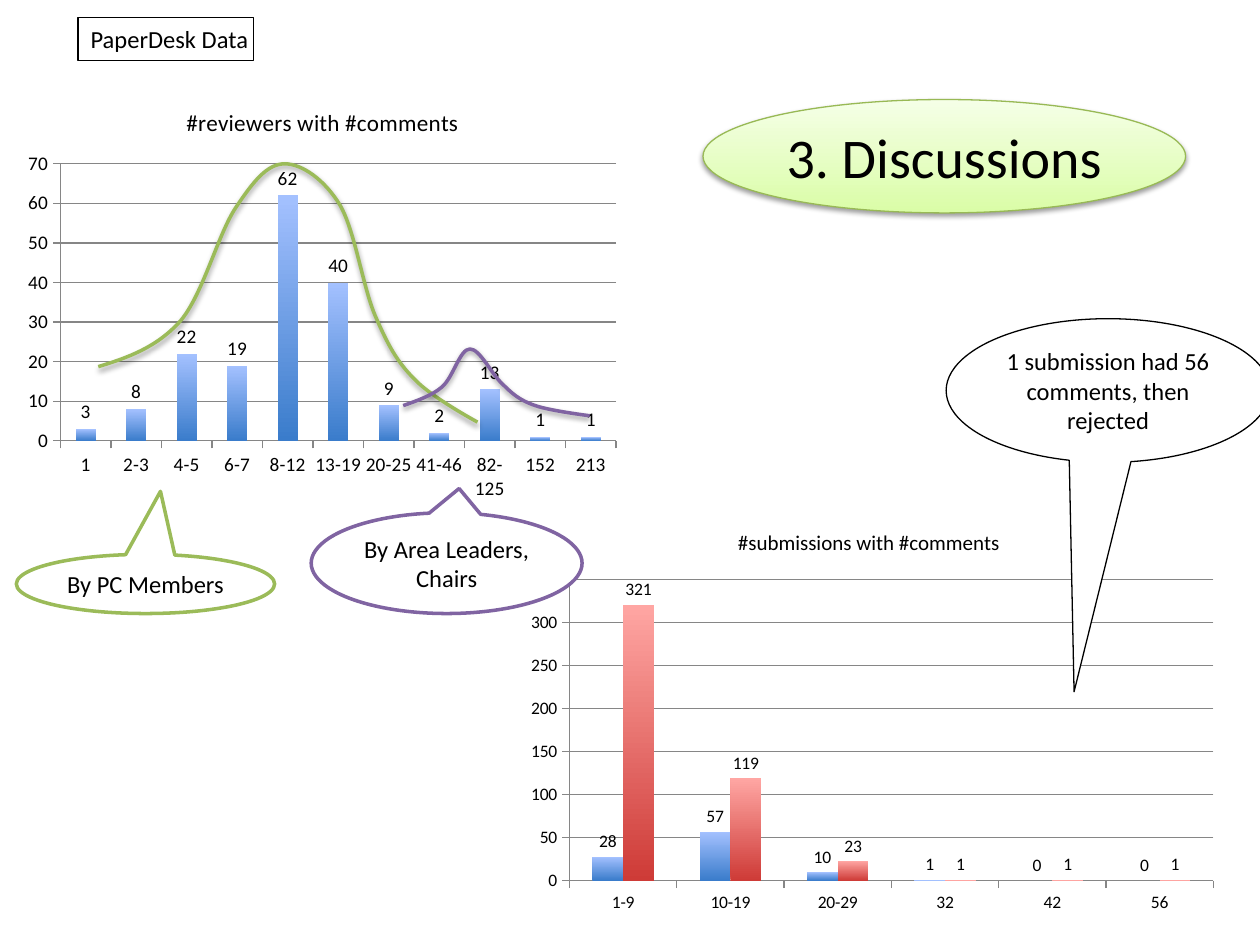
import pptx
import pptx.chart.data
import pptx.dml.color
import pptx.enum.chart
import pptx.enum.shapes
import pptx.enum.text
import pptx.oxml
import pptx.util
from lxml import etree

Inches = pptx.util.Inches
Pt = pptx.util.Pt
Shape = pptx.enum.shapes.MSO_SHAPE
Align = pptx.enum.text.PP_ALIGN
DRAWING = "http://schemas.openxmlformats.org/drawingml/2006/main"
CHART = "http://schemas.openxmlformats.org/drawingml/2006/chart"
BLACK, WHITE, GREEN, PURPLE, AXIS = "000000", "FFFFFF", "9BBB59", "8064A2", "868686"
BLUE_BARS = ("3A7CCB", "A4C1FF")
RED_BARS = ("CE3B37", "FFA6A3")


def rgb(color):
    return pptx.dml.color.RGBColor.from_string(color)


class DiscussionSlide:
    """Draws charts, shapes and curves on one slide in a shared style."""

    font_name = "Calibri"

    def __init__(self, slide):
        self.slide = slide

    def style_font(self, font, size):
        font.name, font.size, font.bold = self.font_name, Pt(size), False
        font.color.rgb = rgb(BLACK)

    def paint(self, fill, color):
        if color is None:
            fill.background()
        elif isinstance(color, str):
            fill.solid()
            fill.fore_color.rgb = rgb(color)
        else:
            fill.gradient()
            fill.gradient_angle = 90
            for stop, stop_color in zip(fill.gradient_stops, color):
                stop.color.rgb = rgb(stop_color)

    def outline(self, line, color, width=0.75):
        line.color.rgb = rgb(color)
        line.width = Pt(width)

    def add_shadow(self, shape):
        shape.shadow.inherit = False
        effects = shape._element.spPr.find(f"{{{DRAWING}}}effectLst")
        effects.append(pptx.oxml.parse_xml(
            f'<a:outerShdw xmlns:a="{DRAWING}" blurRad="{Pt(3.1)}" dist="{Pt(1.6)}" '
            'dir="5400000" rotWithShape="0"><a:srgbClr val="000000">'
            '<a:alpha val="38000"/></a:srgbClr></a:outerShdw>'))

    def shape(self, kind, box, text, size=14, fill=WHITE, line=BLACK, width=0.75,
              align=Align.CENTER, tip=()):
        shape = self.slide.shapes.add_shape(kind, *map(Inches, box))
        shape.shadow.inherit = False
        self.paint(shape.fill, fill)
        self.outline(shape.line, line, width)
        for index, value in enumerate(tip):
            shape.adjustments[index] = value
        frame = shape.text_frame
        frame.word_wrap = False
        frame.vertical_anchor = pptx.enum.text.MSO_ANCHOR.MIDDLE
        paragraph = frame.paragraphs[0]
        paragraph.text = text
        paragraph.alignment = align
        self.style_font(paragraph.font, size)
        return shape

    def curve(self, points, color):
        points = [(Inches(x), Inches(y)) for x, y in points]
        builder = self.slide.shapes.build_freeform(*points[0])
        builder.add_line_segments(points[1:], close=False)
        shape = builder.convert_to_shape()
        segments = list(shape._element.iter(f"{{{DRAWING}}}lnTo"))
        for start in range(0, len(segments), 3):
            bezier = etree.Element(f"{{{DRAWING}}}cubicBezTo")
            segments[start].addprevious(bezier)
            for segment in segments[start:start + 3]:
                bezier.append(segment[0])
                segment.getparent().remove(segment)
        self.paint(shape.fill, None)
        self.outline(shape.line, color, 2)
        self.add_shadow(shape)
        return shape

    def group(self, *shapes):
        self.slide.shapes.add_group_shape(shapes)

    def place_plot(self, chart, box, plot_box):
        plot_area = chart._chartSpace.chart.plotArea
        for layout in plot_area.findall(f"{{{CHART}}}layout"):
            plot_area.remove(layout)
        left, top, width, height = box
        fractions = {"x": (plot_box[0] - left) / width, "y": (plot_box[1] - top) / height,
                     "w": plot_box[2] / width, "h": plot_box[3] / height}
        values = "".join(f'<c:{key} val="{value:.4f}"/>' for key, value in fractions.items())
        plot_area.insert(0, pptx.oxml.parse_xml(
            f'<c:layout xmlns:c="{CHART}"><c:manualLayout><c:layoutTarget val="inner"/>'
            f'<c:xMode val="edge"/><c:yMode val="edge"/>{values}</c:manualLayout></c:layout>'))

    def column_chart(self, box, plot_box, title, size, categories, series, maximum, step):
        data = pptx.chart.data.CategoryChartData()
        data.categories = categories
        for index, (values, _) in enumerate(series, 1):
            data.add_series(f"Series {index}", values)
        chart = self.slide.shapes.add_chart(
            pptx.enum.chart.XL_CHART_TYPE.COLUMN_CLUSTERED, *map(Inches, box), data).chart
        self.style_font(chart.font, size)
        chart.has_legend = False
        chart.has_title = True
        paragraph = chart.chart_title.text_frame.paragraphs[0]
        paragraph.text = title
        self.style_font(paragraph.font, size * 1.2)
        plot = chart.plots[0]
        plot.gap_width, plot.overlap, plot.vary_by_categories = 150, 0, False
        for bars, (_, colors) in zip(plot.series, series):
            self.paint(bars.format.fill, colors)
            labels = bars.data_labels
            labels.show_value = True
            labels.position = pptx.enum.chart.XL_LABEL_POSITION.OUTSIDE_END
            self.style_font(labels.font, size)
        for axis in (chart.category_axis, chart.value_axis):
            axis.major_tick_mark = pptx.enum.chart.XL_TICK_MARK.OUTSIDE
            self.outline(axis.format.line, AXIS)
            self.style_font(axis.tick_labels.font, size)
        value_axis = chart.value_axis
        value_axis.minimum_scale, value_axis.maximum_scale = 0, maximum
        value_axis.major_unit = step
        self.outline(value_axis.major_gridlines.format.line, AXIS)
        self.place_plot(chart, box, plot_box)


presentation = pptx.Presentation()
presentation.slide_width, presentation.slide_height = Inches(10), Inches(7.5)
page = DiscussionSlide(presentation.slides.add_slide(presentation.slide_layouts[6]))

page.column_chart(
    (0.13, 0.69, 4.86, 3.35), (0.48, 1.3, 4.41, 2.2), "#reviewers with #comments", 11,
    ["1", "2-3", "4-5", "6-7", "8-12", "13-19", "20-25", "41-46", "82-125", "152", "213"],
    [((3, 8, 22, 19, 62, 40, 9, 2, 13, 1, 1), BLUE_BARS)], 70, 10)
page.column_chart(
    (4.1, 4.04, 5.63, 3.27), (4.52, 4.6, 5.11, 2.39), "#submissions with #comments ", 10,
    ["1-9", "10-19", "20-29", "32", "42", "56"],
    [((28, 57, 10, 1, 0, 0), BLUE_BARS), ((321, 119, 23, 1, 1, 1), RED_BARS)], 350, 50)

heading = page.shape(Shape.OVAL, (5.58, 0.79, 3.83, 0.9), "3. Discussions", 32,
                     fill=("DAFDA7", "F5FFE7"), line="98B955")
page.add_shadow(heading)
page.shape(Shape.OVAL_CALLOUT, (7.51, 2.53, 2.57, 1.14),
           "1 submission had 56\vcomments, then\vrejected", tip=(-0.105, 2.097))

members = page.shape(Shape.OVAL_CALLOUT, (0.13, 4.4, 2.05, 0.47), "By PC Members",
                     line=GREEN, width=2, tip=(0.058, -1.564))
members_curve = page.curve([
    (0.78, 2.91), (1.01, 2.84), (1.24, 2.76), (1.43, 2.55), (1.61, 2.34), (1.73, 1.86),
    (1.87, 1.65), (2.01, 1.44), (2.12, 1.3), (2.26, 1.3), (2.4, 1.3), (2.58, 1.43),
    (2.7, 1.63), (2.82, 1.84), (2.88, 2.28), (2.98, 2.51), (3.08, 2.74), (3.15, 2.87),
    (3.29, 3.01), (3.42, 3.15), (3.79, 3.35), (3.79, 3.35)], GREEN)
page.group(members, members_curve)

leaders = page.shape(Shape.OVAL_CALLOUT, (2.47, 4.07, 2.15, 0.8), "By Area Leaders,\vChairs",
                     line=PURPLE, width=2, tip=(0.046, -0.741))
leaders_curve = page.curve([
    (3.2, 3.22), (3.31, 3.18), (3.43, 3.14), (3.51, 3.07), (3.6, 2.99), (3.65, 2.77),
    (3.73, 2.77), (3.81, 2.77), (3.9, 2.97), (3.99, 3.05), (4.07, 3.13), (4.13, 3.18),
    (4.25, 3.22), (4.36, 3.26), (4.68, 3.3), (4.68, 3.3)], PURPLE)
page.group(leaders, leaders_curve)

page.shape(Shape.RECTANGLE, (0.62, 0.14, 1.39, 0.34), "PaperDesk Data",
           fill=None, align=Align.LEFT)

presentation.save("out.pptx")
